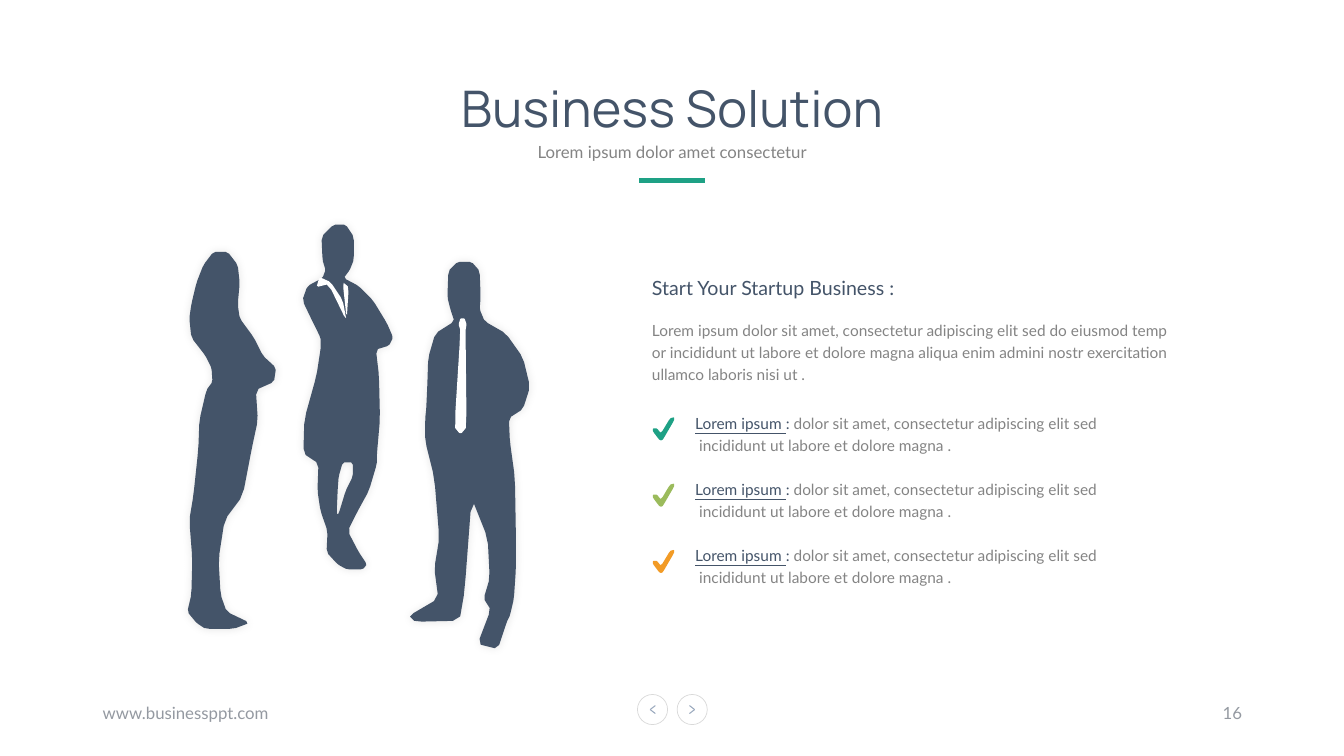
from lxml.etree import SubElement
from pptx import Presentation
from pptx.dml.color import RGBColor
from pptx.enum.shapes import MSO_CONNECTOR as Connector, MSO_SHAPE as Shape
from pptx.enum.text import MSO_ANCHOR as Anchor, PP_ALIGN as Align
from pptx.oxml.ns import qn
from pptx.util import Cm, Pt

NAVY, GRAY, PALE = "445469", "848484", "9499A1"
GREEN, LIME, ORANGE, WHITE = "1EA185", "9BBB5C", "F29B26", "FFFFFF"
GRID = 0.0254

WOMAN = {
    "crown": (5, 30, 44), "brow": (18, 20, 54), "ear": (36, 13, 56), "curls": (57, 8, 54),
    "hair ends": (71, 6, 56), "shoulder": (90, 8, 70), "arm": (108, 22, 79), "elbow": (120, 28, 92),
    "forearm": (134, 29, 90), "waist": (142, 23, 72), "hip": (172, 16, 74), "thigh": (200, 15, 68),
    "hem": (247, 10, 59), "knee": (271, 6, 41), "shin": (310, 9, 35), "ankle": (345, 8, 37),
    "heel": (362, 4, 43), "toe": (373, 13, 66), "sole": (379, 22, 50),
}
LEADER = {
    "crown": (0, 33, 45), "brow": (12, 21, 53), "jaw": (35, 22, 53), "chin": (45, 25, 49),
    "neck": (53, 22, 43), "shoulder": (61, 7, 58), "arm": (75, 2, 72), "elbow": (98, 13, 86),
    "forearm": (112, 20, 92), "cuff": (120, 20, 88), "waist": (124, 20, 75), "hip": (150, 16, 78),
    "jacket hem": (193, 4, 79), "skirt": (227, 3, 76), "skirt hem": (237, 18, 76),
    "knee": (264, 17, 68), "calf": (284, 20, 57), "ankle": (304, 27, 47), "heel": (325, 26, 58),
    "toe": (337, 37, 66), "sole": (342, 46, 62),
}
LEG_GAP = {"hem": (236, 42, 52), "knee": (250, 38, 52), "calf": (264, 37, 45), "ankle": (287, 36, 38)}
MAN = {
    "crown": (11, 50, 64), "brow": (20, 41, 72), "ear": (46, 40, 73), "jaw": (58, 43, 72),
    "neck": (70, 47, 77), "shoulder": (82, 28, 98), "arm": (106, 21, 115), "elbow": (135, 20, 122),
    "cuff": (157, 19, 115), "pocket": (166, 18, 101), "hand": (189, 18, 102), "hip": (225, 27, 107),
    "knee": (285, 32, 108), "shin": (315, 27, 108), "ankle": (345, 31, 106), "toe": (362, 2, 102),
    "sole": (368, 8, 99),
}
INSEAM = [(52, 367), (57, 338), (64, 245), (80, 285), (82, 325), (76, 345), (83, 356), (70, 390), (90, 395)]
TIE = {"collar": (67, 53, 57), "knot": (73, 51, 59), "throat": (79, 53, 58), "blade": (175, 47, 59),
       "tip": (181, 52, 54)}
LAPELS = [[(19, 52), (16, 62), (28, 59), (46, 96), (42, 75), (30, 57)], [(42, 57), (48, 62), (46, 94)]]
CHECK = [(9, 24), (7, 23), (1, 15), (1, 12), (5, 12), (9, 17), (18, 2), (22, 1), (22, 4), (11, 23)]


def color(code):
    """Turn a hex string into a colour."""
    return RGBColor.from_string(code)


def profile(levels, between=()):
    """Join the left edges going down to the right edges going up."""
    left_edge = [(left, height) for height, left, right in levels.values()]
    right_edge = [(right, height) for height, left, right in levels.values()]
    return left_edge + list(between) + right_edge[::-1]


def rounded(outline, cut=0.15):
    """Cut each corner of a closed outline."""
    points = []
    for (x1, y1), (x2, y2) in zip(outline, outline[1:] + outline[:1]):
        points += [(x1 + (x2 - x1) * t, y1 + (y2 - y1) * t) for t in (cut, 1 - cut)]
    return points


def add_outline(slide, left, top, contours, fill, glow=False):
    """Draw closed contours as one filled shape."""
    builder = None
    for contour in contours:
        start, *rest = [(Cm(left + x * GRID), Cm(top + y * GRID)) for x, y in rounded(contour)]
        if builder is None:
            builder = slide.shapes.build_freeform(*start, scale=1.0)
        else:
            builder.move_to(*start)
        builder.add_line_segments(rest, close=True)
    outline = builder.convert_to_shape()
    outline.shadow.inherit = False
    outline.fill.solid()
    outline.fill.fore_color.rgb = color(fill)
    outline.line.fill.background()
    if glow:
        effects = outline._element.spPr.find(qn("a:effectLst"))
        shadow = SubElement(effects, qn("a:outerShdw"), blurRad=str(Pt(6)), dist="0", dir="18900000")
        black = SubElement(shadow, qn("a:srgbClr"), val="000000")
        SubElement(black, qn("a:alpha"), val="10000")


def add_line(slide, start, end, stroke, width):
    """Draw a straight line between two points."""
    line = slide.shapes.add_connector(Connector.STRAIGHT, *map(Cm, start + end))
    line.line.color.rgb = color(stroke)
    line.line.width = Pt(width)
    SubElement(line._element.spPr, qn("a:effectLst"))


def style(run, size, tint, face="Lato"):
    """Give a run its font, size and colour."""
    run.font.name, run.font.size = face, Pt(size)
    run.font.color.rgb = color(tint)


def add_text(slide, box, lines, size, tint, face="Lato", align=Align.LEFT, spacing=1.0, anchor=Anchor.TOP):
    """Place a wrapped text box with one paragraph a line."""
    frame = slide.shapes.add_textbox(*map(Cm, box)).text_frame
    frame.word_wrap, frame.vertical_anchor = True, anchor
    frame.text = "\n".join(lines)
    for paragraph in frame.paragraphs:
        paragraph.alignment, paragraph.line_spacing = align, spacing
        for run in paragraph.runs:
            style(run, size, tint, face)
    return frame


def add_header(slide, left, top, width):
    """Place the title, subtitle and accent rule."""
    title = add_text(slide, (left, top, width, 1.8), ["Business Solution"], 36, NAVY, "Manrope", Align.CENTER)
    title.paragraphs[0].runs[0].font._element.set("spc", "30")
    add_text(slide, (left, top + 1.42, width, 0.97), ["Lorem ipsum dolor amet consectetur"],
             12, GRAY, align=Align.CENTER, spacing=1.4)
    middle = left + width / 2
    add_line(slide, (middle - 0.83, top + 2.72), (middle + 0.83, top + 2.72), GREEN, 3)


def add_team(slide, left, top):
    """Place the three business silhouettes."""
    team = (
        (0, 0.56, [profile(WOMAN)], []),
        (5.64, 0.66, [profile(MAN, INSEAM)], [profile(TIE)]),
        (2.95, 0, [profile(LEADER), profile(LEG_GAP)], LAPELS),
    )
    for across, down, body, shirt in team:
        add_outline(slide, left + across, top + down, body, NAVY, glow=True)
        if shirt:
            add_outline(slide, left + across, top + down, shirt, WHITE)


def add_benefit(slide, left, top, tint):
    """Place a check mark beside its text."""
    add_outline(slide, left, top + 0.28, [CHECK], tint)
    benefit = add_text(slide, (left + 0.84, top, 10.67, 1.4), ["Lorem ipsum "], 11, NAVY, spacing=1.2)
    paragraph = benefit.paragraphs[0]
    paragraph.runs[0].font.underline = True
    details = "dolor sit amet, consectetur adipiscing elit sed  incididunt ut labore et dolore magna ."
    for words, shade in ((": ", NAVY), (details, GRAY)):
        run = paragraph.add_run()
        run.text = words
        style(run, 11, shade)


def add_pitch(slide, left, top):
    """Place the heading, introduction and benefits."""
    add_text(slide, (left, top, 8.71, 0.86), ["Start Your Startup Business :"], 14, NAVY)
    add_text(slide, (left, top + 1.04, 13.61, 1.96), [
        "Lorem ipsum dolor sit amet, consectetur adipiscing elit sed do eiusmod temp",
        "or incididunt ut labore et dolore magna aliqua enim admini nostr exercitation ullamco laboris nisi ut .",
    ], 11, GRAY, spacing=1.2)
    for row, tint in enumerate((GREEN, LIME, ORANGE)):
        add_benefit(slide, left + 0.25, top + 3.38 + 1.67 * row, tint)


def add_footer(slide, left, top, width):
    """Place the address, page buttons and page number."""
    add_text(slide, (left, top, 11.43, 1.02), ["www.businessppt.com"], 12, PALE, anchor=Anchor.MIDDLE)
    add_text(slide, (left + width - 7.62, top, 7.62, 1.02), ["16"], 12, PALE,
             align=Align.RIGHT, anchor=Anchor.MIDDLE)
    middle = left + width / 2
    for direction in (-1, 1):
        center = middle + 0.5 * direction
        button = slide.shapes.add_shape(Shape.OVAL, *map(Cm, (center - 0.38, top + 0.05, 0.76, 0.76)))
        button.shadow.inherit = False
        button.fill.background()
        button.line.color.rgb = color("D9D9D9")
        button.line.width = Pt(0.5)
        for rise in (-0.1, 0.1):
            add_line(slide, (center + 0.06 * direction, top + 0.43),
                     (center - 0.07 * direction, top + 0.43 + rise), "99A8BD", 0.75)


def main():
    """Build and save the slide."""
    deck = Presentation()
    deck.slide_width, deck.slide_height = Cm(33.87), Cm(19.05)
    slide = deck.slides.add_slide(deck.slide_layouts[6])
    add_footer(slide, 2.34, 17.45, 29.21)
    add_team(slide, 4.62, 5.66)
    add_header(slide, 8.79, 1.83, 16.31)
    add_pitch(slide, 16.18, 6.83)
    deck.save("out.pptx")


if __name__ == "__main__":
    main()
